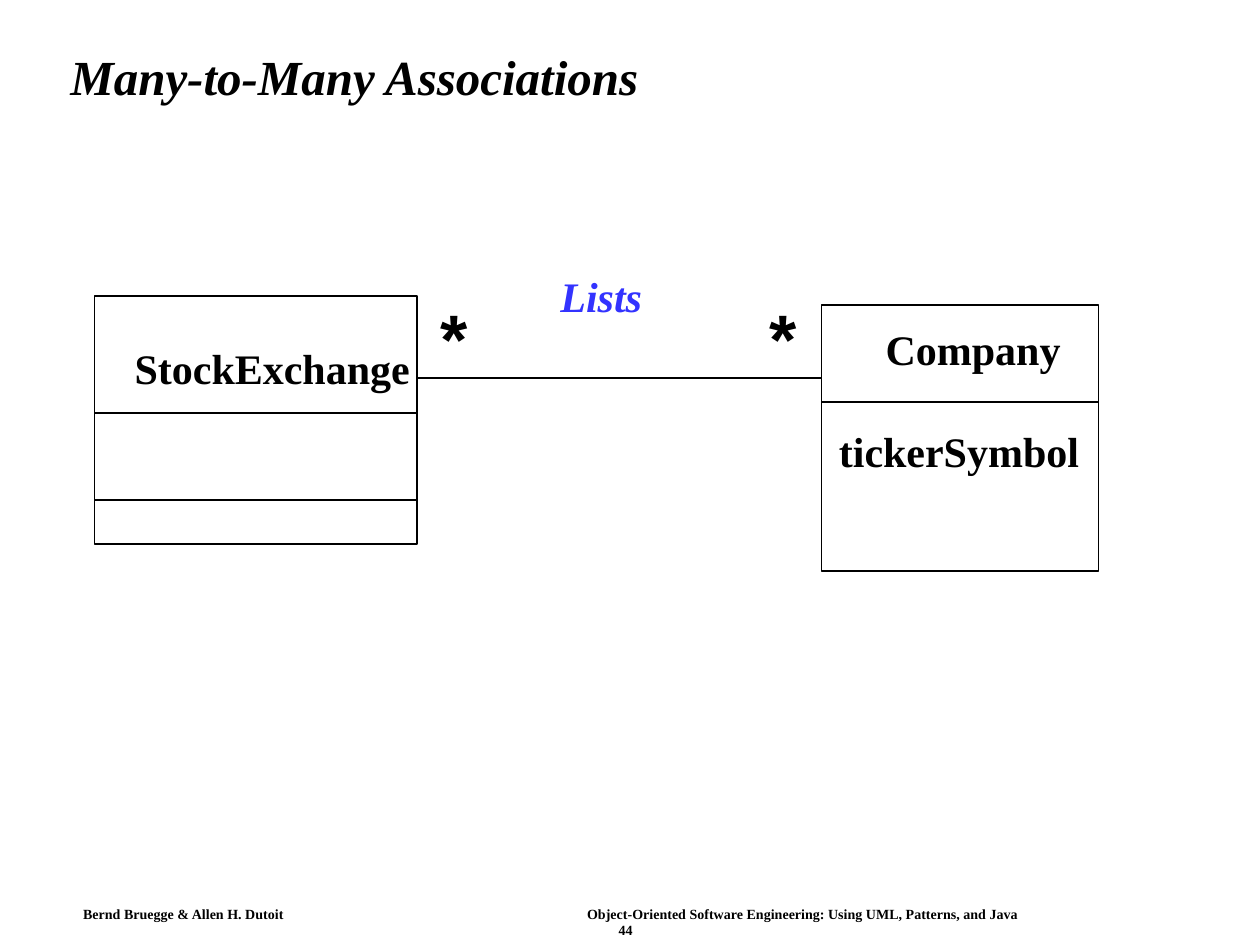
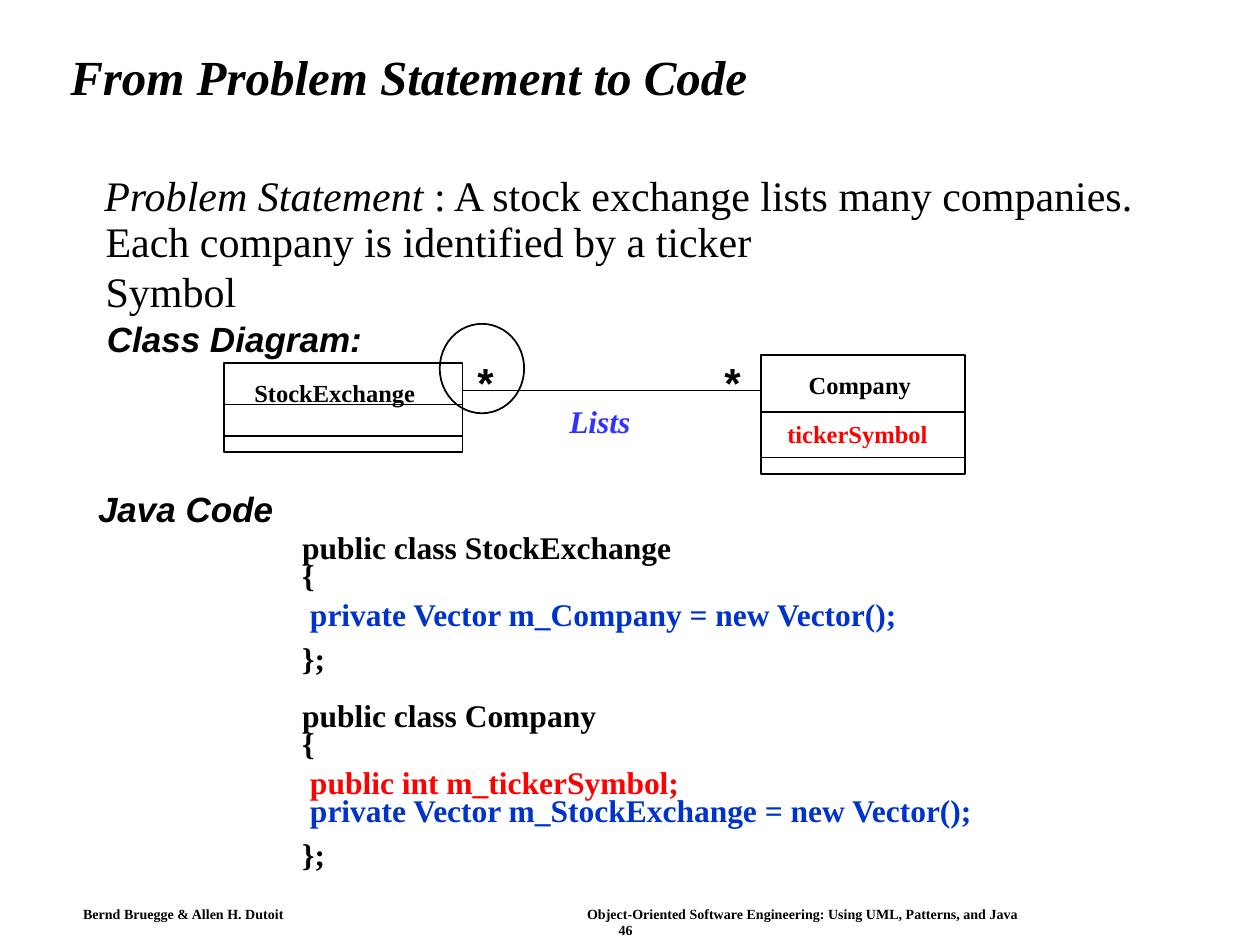
import dataclasses

import pptx
import pptx.dml.color
import pptx.enum.shapes
import pptx.enum.text
import pptx.oxml.ns
import pptx.util
from lxml import etree

# The slide is a grid of 100 columns by 75 rows; all places are (column, row).
COLUMNS, ROWS = 100, 75
CELL = pptx.util.Inches(0.1)


@dataclasses.dataclass(frozen=True)
class Theme:
    serif: str = "Times New Roman"
    sans: str = "Arial"
    ink: str = "000000"
    association: str = "3333FF"
    reference: str = "0033CC"
    attribute: str = "FF0000"
    title_size: int = 28
    body_size: int = 24
    heading_size: int = 20
    code_size: int = 18
    code_pitch: int = 16
    footer_size: int = 8
    line_width: int = 1


THEME = Theme()

FOOTER_TOP, FOOTER_LINE = 71.5, 1.25
FOOTER = [  # text, column, width, line
    ("Bernd Bruegge & Allen H. Dutoit", 5.8, 30, 0),
    ("Object-Oriented Software Engineering: Using UML, Patterns, and Java", 45.8, 46, 0),
]

# Labels: text, (left, top, width, height), colour
MANY_TO_MANY = {
    "name_size": 24, "lists_size": 24, "star_size": 40,
    "classes": [
        {"box": (7.5, 23.5, 25.6, 19.7), "dividers": [32.8, 39.7],
         "labels": [("StockExchange", (9.7, 26.7, 26, 5), THEME.ink)]},
        {"box": (65.2, 24.2, 22, 21.1), "dividers": [31.9],
         "labels": [("Company", (69.3, 25.2, 18, 5), THEME.ink),
                    ("tickerSymbol", (65.6, 33.3, 23, 5), THEME.ink)]},
    ],
    "association_row": 30,
    "lists": (43.5, 21, 11, 5),
    "stars": [(34, 22.9, 5, 7.6), (60.1, 22.9, 5, 7.6)],
}

PROBLEM_TO_CODE = {
    "name_size": 14, "lists_size": 18, "star_size": 24,
    "classes": [
        {"box": (17.8, 28.8, 18.9, 7.1), "dividers": [32.1, 34.6],
         "labels": [("StockExchange", (19.2, 29.5, 17, 3.3), THEME.ink)]},
        {"box": (60.4, 28.2, 16.2, 9.4), "dividers": [32.7, 36.3],
         "labels": [("Company", (63.2, 28.9, 12, 3.3), THEME.ink),
                    ("tickerSymbol", (61.5, 32.8, 15, 3.3), THEME.attribute)]},
    ],
    "association_row": 31,
    "lists": (44.2, 31.4, 9, 4),
    "stars": [(36.9, 27.8, 4, 5), (56.5, 27.8, 4, 5)],
}
HIGHLIGHT = (34.9, 25.7, 6.7, 7.1)

PROBLEM_FIRST = [[("Problem Statement", {"italic": True}),
                  (" : A stock exchange lists many companies.", {})]]
PROBLEM_REST = ["Each company is identified by a ticker", "Symbol"]
HEADINGS = [("Class Diagram:", (7.5, 24.7, 26, 4.3)),
            ("Java Code", (6.8, 38.2, 18, 4.3))]

CODE_PLACE = (23, 42.2, 62, 28.5)
CODE = [  # line, colour, points of space before
    ("public class StockExchange", THEME.ink, 0),
    ("{", THEME.ink, 0),
    (" private Vector m_Company = new Vector();", THEME.reference, 6.5),
    ("};", THEME.ink, 9),
    ("public class Company", THEME.ink, 16.5),
    ("{", THEME.ink, 0),
    (" public int m_tickerSymbol;", THEME.attribute, 6.5),
    (" private Vector m_StockExchange = new Vector();", THEME.reference, 0),
    ("};", THEME.ink, 9),
]


def grid(*cells):
    return [round(cell * CELL) for cell in cells]


def add_text(slide, text, place, *, size=THEME.body_size, font=THEME.serif,
             color=THEME.ink, bold=False, italic=False, middle=False,
             spacing=None, space_before=(), inset=(0.1, 0.05)):
    """Text is a string or a list of paragraphs, each a string or (run, format) pairs."""
    frame = slide.shapes.add_textbox(*grid(*place)).text_frame
    frame.word_wrap = True
    frame.margin_left = frame.margin_right = pptx.util.Inches(inset[0])
    frame.margin_top = frame.margin_bottom = pptx.util.Inches(inset[1])
    if middle:
        frame.vertical_anchor = pptx.enum.text.MSO_ANCHOR.MIDDLE
    for index, content in enumerate([text] if isinstance(text, str) else text):
        paragraph = frame.add_paragraph() if index else frame.paragraphs[0]
        if spacing:
            paragraph.line_spacing = spacing
        if index and space_before:
            paragraph.space_before = pptx.util.Pt(space_before[index])
        for words, changes in [(content, {})] if isinstance(content, str) else content:
            run = paragraph.add_run()
            run.text = words
            run.font.name = font
            run.font.size = pptx.util.Pt(size)
            run.font.bold = bold
            run.font.italic = changes.get("italic", italic)
            run.font.color.rgb = pptx.dml.color.RGBColor.from_string(
                changes.get("color", color))


def style_line(line):
    line.color.rgb = pptx.dml.color.RGBColor.from_string(THEME.ink)
    line.width = pptx.util.Pt(THEME.line_width)


def add_outline(slide, kind, place):
    shape = slide.shapes.add_shape(kind, *grid(*place))
    shape.shadow.inherit = False
    shape.fill.background()
    style_line(shape.line)


def add_rule(slide, left, right, row):
    connector = slide.shapes.add_connector(
        pptx.enum.shapes.MSO_CONNECTOR.STRAIGHT, *grid(left, row, right, row))
    style_line(connector.line)
    etree.SubElement(connector.element.spPr, pptx.oxml.ns.qn("a:effectLst"))


def add_class_diagram(slide, diagram):
    for uml_class in diagram["classes"]:
        left, _, width, _ = uml_class["box"]
        add_outline(slide, pptx.enum.shapes.MSO_SHAPE.RECTANGLE, uml_class["box"])
        for row in uml_class["dividers"]:
            add_rule(slide, left, left + width, row)
        for text, place, color in uml_class["labels"]:
            add_text(slide, text, place, size=diagram["name_size"], color=color, bold=True)
    source, target = (uml_class["box"] for uml_class in diagram["classes"])
    add_rule(slide, source[0] + source[2], target[0], diagram["association_row"])
    add_text(slide, "Lists", diagram["lists"], size=diagram["lists_size"],
             color=THEME.association, bold=True, italic=True)
    for place in diagram["stars"]:
        add_text(slide, "*", place, size=diagram["star_size"], font=THEME.sans, bold=True)


def add_slide(presentation, title, number):
    """Add a slide with the shared title and footer."""
    slide = presentation.slides.add_slide(presentation.slide_layouts[6])
    for text, column, width, line in FOOTER + [(number, 48.3, 5, 1)]:
        add_text(slide, text, (column, FOOTER_TOP + line * FOOTER_LINE, width, 2.1),
                 size=THEME.footer_size, bold=True, inset=(0.08, 0.04))
    add_text(slide, title, (4.6, 2.5, 89.2, 7.7), size=THEME.title_size, bold=True,
             italic=True, middle=True, spacing=0.9)
    return slide


def main():
    presentation = pptx.Presentation()
    presentation.slide_width, presentation.slide_height = grid(COLUMNS, ROWS)

    slide = add_slide(presentation, "Many-to-Many Associations", "44")
    add_class_diagram(slide, MANY_TO_MANY)

    slide = add_slide(presentation, "From Problem Statement to Code", "46")
    add_text(slide, PROBLEM_FIRST, (7.3, 13, 86, 5))
    add_text(slide, PROBLEM_REST, (7.4, 16.6, 64.3, 9))
    for text, place in HEADINGS:
        add_text(slide, text, place, size=THEME.heading_size, font=THEME.sans,
                 bold=True, italic=True)
    add_class_diagram(slide, PROBLEM_TO_CODE)
    add_outline(slide, pptx.enum.shapes.MSO_SHAPE.OVAL, HIGHLIGHT)
    add_text(slide, [[(line, {"color": color})] for line, color, _ in CODE], CODE_PLACE,
             size=THEME.code_size, bold=True,
             spacing=pptx.util.Pt(THEME.code_pitch),
             space_before=[space for _, _, space in CODE])

    presentation.save("out.pptx")


if __name__ == "__main__":
    main()
